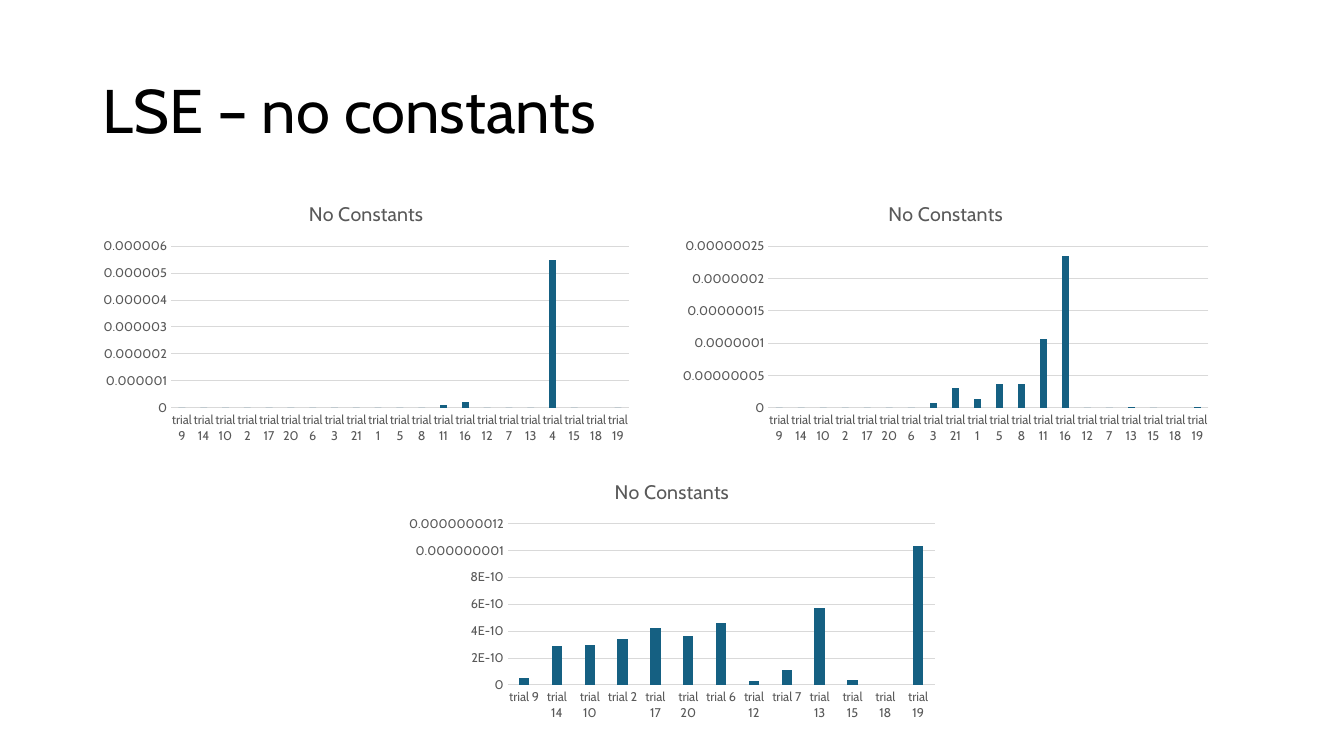
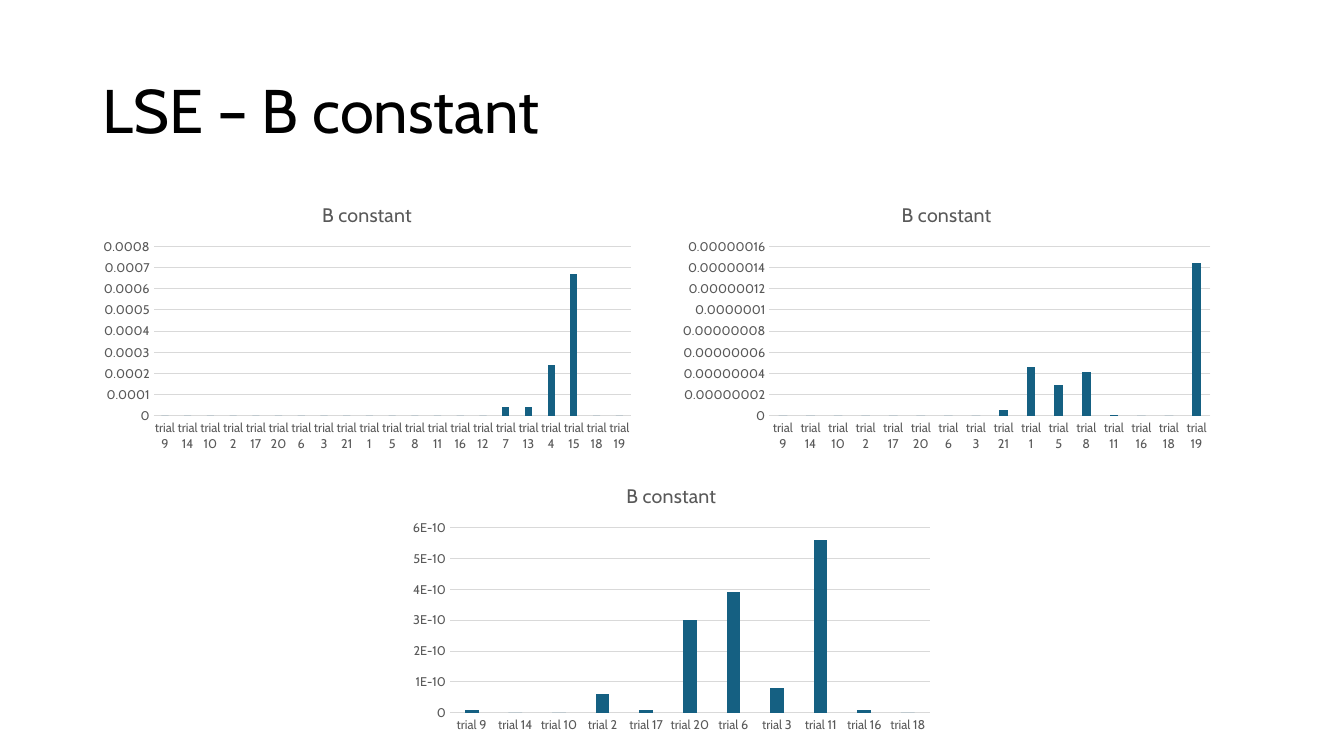
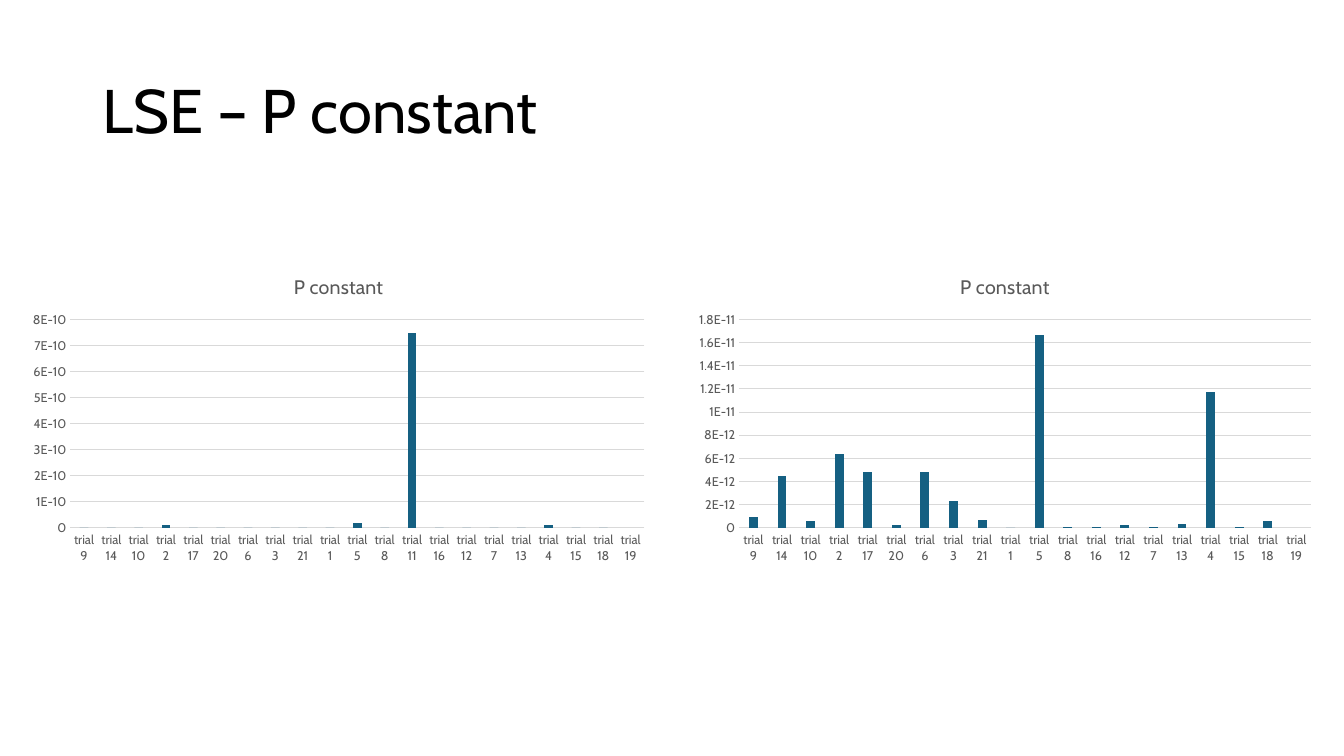
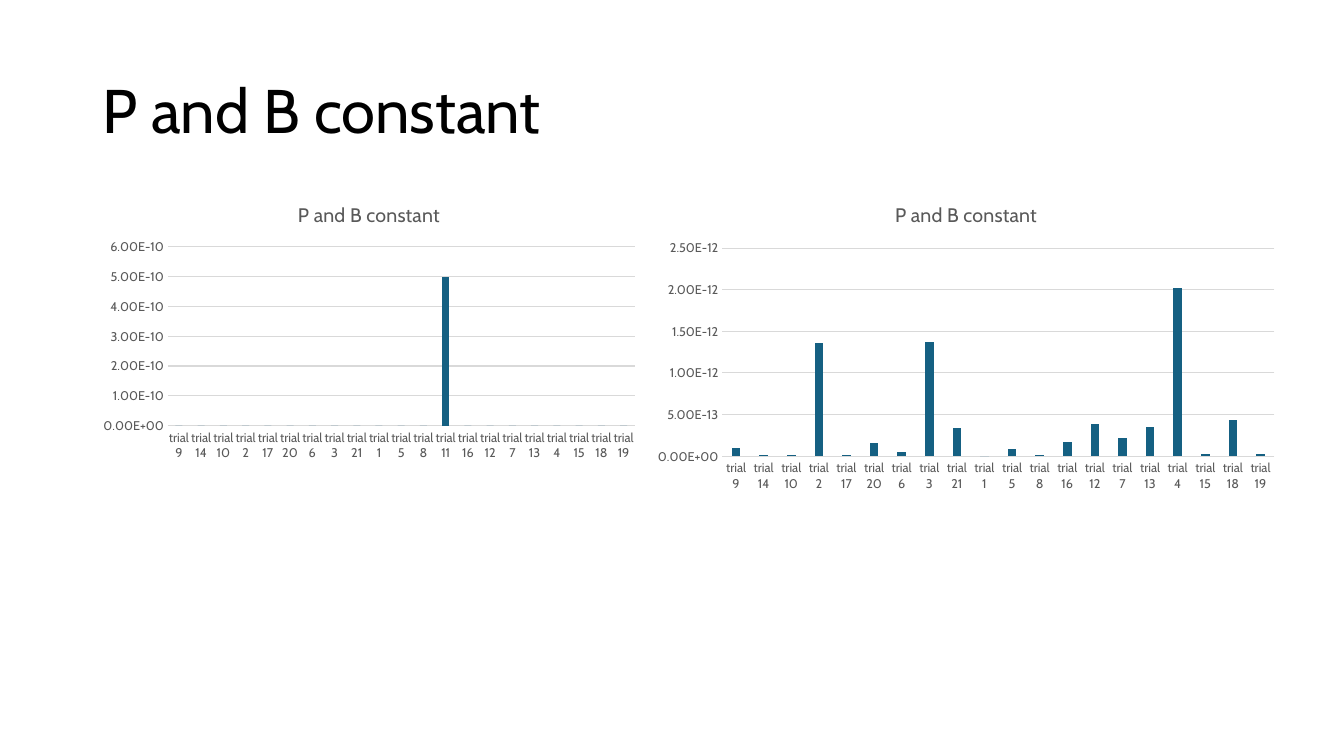
"""Build four slides of column charts that compare LSE trials."""
from dataclasses import dataclass, field
from typing import Optional

from pptx import Presentation
from pptx import util as u
from pptx.chart import data as cd
from pptx.dml.color import RGBColor
from pptx.enum import chart as ce
from pptx.enum import text as te

FONT = "Cabin"
BLACK = RGBColor(0x00, 0x00, 0x00)
WHITE = RGBColor(0xFF, 0xFF, 0xFF)
GREY = RGBColor(0x59, 0x59, 0x59)
PALE = RGBColor(0xD9, 0xD9, 0xD9)
TEAL = RGBColor(0x15, 0x60, 0x82)

LEFT, TOP, MID = 66, 133.2, 480
TRIALS = (9, 14, 10, 2, 17, 20, 6, 3, 21, 1, 5, 8, 11, 16, 12, 7, 13, 4, 15, 18, 19)


@dataclass
class Plot:
    """A chart's box, the trials it skips and its values other than zero."""
    box: tuple[float, float, float, float]
    vals: dict[int, Optional[float]]
    skip: set[int] = field(default_factory=set)


@dataclass
class Page:
    """A slide's title, the title its charts share, and the charts."""
    title: str
    label: str
    plots: list[Plot]
    form: str = "General"


PAGES = [
    Page("LSE – no constants", "No Constants", [
        Plot((LEFT, TOP, 391, 187.2), {11: 1e-7, 16: 2e-7, 4: 5.5e-6, 18: None}),
        Plot((MID, TOP, 391, 187.2),
             {3: 7e-9, 21: 3.1e-8, 1: 1.4e-8, 5: 3.7e-8, 8: 3.7e-8, 11: 1.07e-7,
              16: 2.35e-7, 13: 1e-9, 18: None, 19: 1e-9}, {4}),
        Plot((284.4, 331.2, 391, 187.2),
             {9: 5e-11, 14: 2.9e-10, 10: 3e-10, 2: 3.4e-10, 17: 4.2e-10, 20: 3.6e-10,
              6: 4.6e-10, 12: 3e-11, 7: 1.1e-10, 13: 5.7e-10, 15: 4e-11, 18: None,
              19: 1.03e-9}, {3, 21, 1, 5, 8, 11, 16, 4}),
    ]),
    Page("LSE – B constant", "B constant", [
        Plot((LEFT, TOP, 392.4, 193), {7: 4e-5, 13: 4e-5, 4: 0.00024, 15: 0.00067}),
        Plot((MID, TOP, 392.4, 193),
             {21: 5e-9, 1: 4.6e-8, 5: 2.9e-8, 8: 4.1e-8, 11: 1e-9, 19: 1.44e-7},
             {12, 7, 13, 4, 15}),
        Plot((287.3, 334.1, 384.5, 193),
             {9: 1e-11, 2: 6e-11, 17: 1e-11, 20: 3e-10, 6: 3.9e-10, 3: 8e-11,
              11: 5.6e-10, 16: 1e-11}, {21, 1, 5, 8, 12, 7, 13, 4, 15, 19}),
    ]),
    Page("LSE – P constant", "P constant", [
        Plot((14.4, 184.3, 455, 222.5),
             {2: 1e-11, 5: 2e-11, 11: 7.5e-10, 4: 1e-11, 19: None}),
        Plot((490.3, 184.3, 455, 222.5),
             {9: 9e-13, 14: 4.5e-12, 10: 6e-13, 2: 6.4e-12, 17: 4.8e-12, 20: 2e-13,
              6: 4.8e-12, 3: 2.3e-12, 21: 7e-13, 5: 1.67e-11, 8: 1e-13, 16: 1e-13,
              12: 2e-13, 7: 1e-13, 13: 3e-13, 4: 1.17e-11, 15: 1e-13, 18: 6e-13,
              19: None}, {11}),
    ]),
    Page("P and B constant", "P and B constant", [
        Plot((LEFT, TOP, 395.3, 200.2), {11: 5e-10}),
        Plot((460.8, TOP, 458.6, 222.5),
             {9: 1e-13, 14: 1e-14, 10: 1e-14, 2: 1.36e-12, 17: 1e-14, 20: 1.6e-13,
              6: 5e-14, 3: 1.37e-12, 21: 3.4e-13, 5: 9e-14, 8: 2e-14, 16: 1.7e-13,
              12: 3.9e-13, 7: 2.2e-13, 13: 3.5e-13, 4: 2.02e-12, 15: 3e-14,
              18: 4.3e-13, 19: 3e-14}, {11}),
    ], "0.00E+00"),
]


def style(font, size: float, color: RGBColor) -> None:
    """Set the shared typeface with a size and a colour."""
    font.name, font.size, font.bold = FONT, u.Pt(size), False
    font.color.rgb = color


def rule(line) -> None:
    """Make a line thin and pale."""
    line.color.rgb, line.width = PALE, u.Pt(0.75)


def head(slide, words: str) -> None:
    """Draw the slide title."""
    box = slide.shapes.add_textbox(*map(u.Pt, (LEFT, 28.8, 828, 104.4)))
    frame = box.text_frame
    frame.word_wrap = True
    frame.vertical_anchor = te.MSO_ANCHOR.MIDDLE
    frame.text = words
    para = frame.paragraphs[0]
    para.line_spacing = 0.9
    style(para.runs[0].font, 44, BLACK)


def draw(slide, plot: Plot, label: str, form: str) -> None:
    """Draw one column chart."""
    shown = [n for n in TRIALS if n not in plot.skip]
    data = cd.CategoryChartData(number_format=form)
    data.categories = [f"trial {n}" for n in shown]
    data.add_series("Series 1", [plot.vals.get(n, 0) for n in shown])
    kind = ce.XL_CHART_TYPE.COLUMN_CLUSTERED
    chart = slide.shapes.add_chart(kind, *map(u.Pt, plot.box), data).chart
    style(chart.font, 10, BLACK)
    chart.has_legend = False
    chart.has_title = True
    title = chart.chart_title
    title.include_in_layout = False
    title.text_frame.text = label
    style(title.text_frame.paragraphs[0].runs[0].font, 14, GREY)

    cols = chart.plots[0]
    cols.gap_width, cols.overlap, cols.vary_by_categories = 219, -27, False
    fill = cols.series[0].format.fill
    fill.solid()
    fill.fore_color.rgb = TEAL

    for axis in (chart.category_axis, chart.value_axis):
        axis.major_tick_mark = axis.minor_tick_mark = ce.XL_TICK_MARK.NONE
        style(axis.tick_labels.font, 9, GREY)
    rule(chart.category_axis.format.line)
    scale = chart.value_axis
    scale.format.line.fill.background()
    rule(scale.major_gridlines.format.line)
    scale.tick_labels.number_format = form
    scale.tick_labels.number_format_is_linked = False


def main() -> None:
    """Build and save the slides."""
    deck = Presentation()
    deck.slide_width, deck.slide_height = u.Pt(960), u.Pt(540)
    for page in PAGES:
        slide = deck.slides.add_slide(deck.slide_layouts[6])
        back = slide.background.fill
        back.solid()
        back.fore_color.rgb = WHITE
        head(slide, page.title)
        for plot in page.plots:
            draw(slide, plot, page.label, page.form)
    deck.save("out.pptx")


if __name__ == "__main__":
    main()
